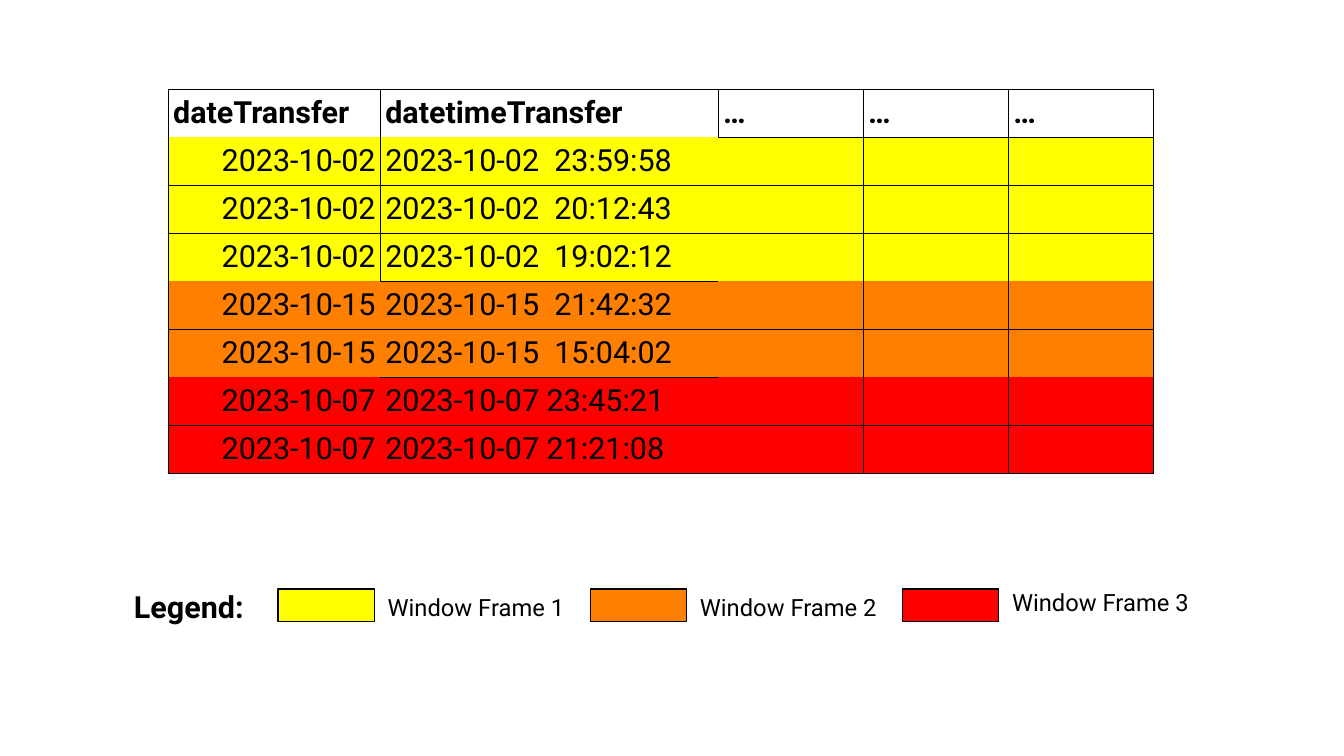
from lxml import etree
from pptx import Presentation
from pptx.dml.color import RGBColor
from pptx.enum.shapes import MSO_SHAPE
from pptx.enum.text import PP_ALIGN
from pptx.oxml.ns import qn
from pptx.util import Inches, Pt

RECTANGLE = MSO_SHAPE.RECTANGLE
LEFT, RIGHT = PP_ALIGN.LEFT, PP_ALIGN.RIGHT

FONT = "Roboto"
BLACK, YELLOW, ORANGE, RED = "000000", "FFFF00", "FF8000", "FF0000"
BORDER_WIDTH = Pt(0.57)
ROW_HEIGHT = 0.39
COLUMN_WIDTHS = [1.74, 2.77, 1.19, 1.19, 1.19]

HEADER = ["dateTransfer", "datetimeTransfer", "…", "…", "…"]
TRANSFERS = [
    ("2023-10-02", "2023-10-02  23:59:58", YELLOW),
    ("2023-10-02", "2023-10-02  20:12:43", YELLOW),
    ("2023-10-02", "2023-10-02  19:02:12", YELLOW),
    ("2023-10-15", "2023-10-15  21:42:32", ORANGE),
    ("2023-10-15", "2023-10-15  15:04:02", ORANGE),
    ("2023-10-07", "2023-10-07 23:45:21", RED),
    ("2023-10-07", "2023-10-07 21:21:08", RED),
]

# Where a new frame starts, only some columns have a line under the row
RULED_COLUMNS = {0: (2, 3, 4), 3: (1,), 5: (1,)}
# Last row in which the line right of a column is drawn
LAST_DIVIDED_ROW = {0: 3, 1: 0}

# Label, colour, label top, label width
LEGEND = [
    ("Window Frame 1", YELLOW, 4.81, 1.8),
    ("Window Frame 2", ORANGE, 4.81, 1.68),
    ("Window Frame 3", RED, 4.77, 1.76),
]
LEGEND_LEFT, LEGEND_STEP = 2.28, 2.56


def color(hex_value):
    return RGBColor.from_string(hex_value)


def write(frame, text, size, bold=False, align=LEFT):
    frame.text = text
    paragraph = frame.paragraphs[0]
    paragraph.alignment = align
    font = paragraph.runs[0].font if text else paragraph.font
    font.name, font.size, font.bold = FONT, Pt(size), bold
    font.color.rgb = color(BLACK)


def has_line_below(row, column):
    return row < 0 or column in RULED_COLUMNS.get(row, range(len(HEADER)))


def has_line_right(row, column):
    return row <= LAST_DIVIDED_ROW.get(column, len(TRANSFERS))


def set_borders(cell, row, column):
    sides = {
        "a:lnL": has_line_right(row, column - 1),
        "a:lnR": has_line_right(row, column),
        "a:lnT": has_line_below(row - 1, column),
        "a:lnB": has_line_below(row, column),
    }
    properties = cell._tc.get_or_add_tcPr()
    for side, visible in sides.items():
        border = etree.SubElement(properties, qn(side), w=str(BORDER_WIDTH))
        if visible:
            fill = etree.SubElement(border, qn("a:solidFill"))
            etree.SubElement(fill, qn("a:srgbClr"), val=BLACK)
        else:
            etree.SubElement(border, qn("a:noFill"))


def fill_cell(cell, row, column, text, fill=None):
    cell.margin_left = cell.margin_right = Inches(0.04)
    cell.margin_top = cell.margin_bottom = Inches(0.05)
    is_date = row > 0 and column == 0
    write(cell.text_frame, text, 18, row == 0, RIGHT if is_date else LEFT)
    set_borders(cell, row, column)
    if fill:
        cell.fill.solid()
        cell.fill.fore_color.rgb = color(fill)
    else:
        cell.fill.background()


def add_transfers(slide):
    row_count = len(TRANSFERS) + 1
    transfers = slide.shapes.add_table(
        row_count, len(HEADER), Inches(1.38), Inches(0.73),
        Inches(sum(COLUMN_WIDTHS)), Inches(ROW_HEIGHT * row_count)).table
    transfers.first_row = transfers.horz_banding = False
    for column, width in zip(transfers.columns, COLUMN_WIDTHS):
        column.width = Inches(width)
    for column, title in enumerate(HEADER):
        fill_cell(transfers.cell(0, column), 0, column, title)
    for row, (date, moment, fill) in enumerate(TRANSFERS, 1):
        for column, text in enumerate([date, moment, "", "", ""]):
            fill_cell(transfers.cell(row, column), row, column, text, fill)


def add_label(slide, text, left, top, width, size, bold=False):
    label = slide.shapes.add_textbox(
        Inches(left), Inches(top), Inches(width), Inches(0.39))
    label.text_frame.word_wrap = True
    write(label.text_frame, text, size, bold)


def add_swatch(slide, left, fill):
    swatch = slide.shapes.add_shape(
        RECTANGLE, Inches(left), Inches(4.83), Inches(0.79), Inches(0.27))
    swatch.shadow.inherit = False
    swatch.fill.solid()
    swatch.fill.fore_color.rgb = color(fill)
    swatch.line.color.rgb = color(BLACK)
    swatch.line.width = Pt(0)


def add_legend(slide):
    add_label(slide, "Legend:", 1, 4.77, 1.25, 18, bold=True)
    for index, (text, fill, top, width) in enumerate(LEGEND):
        left = LEGEND_LEFT + index * LEGEND_STEP
        add_swatch(slide, left, fill)
        add_label(slide, text, left + 0.8, top, width, 14)


def main():
    deck = Presentation()
    deck.slide_width, deck.slide_height = Inches(11.02), Inches(6.2)
    slide = deck.slides.add_slide(deck.slide_layouts[6])
    # Transfers coloured by window frame
    add_transfers(slide)
    # Key to the frame colours
    add_legend(slide)
    deck.save("out.pptx")


if __name__ == "__main__":
    main()
